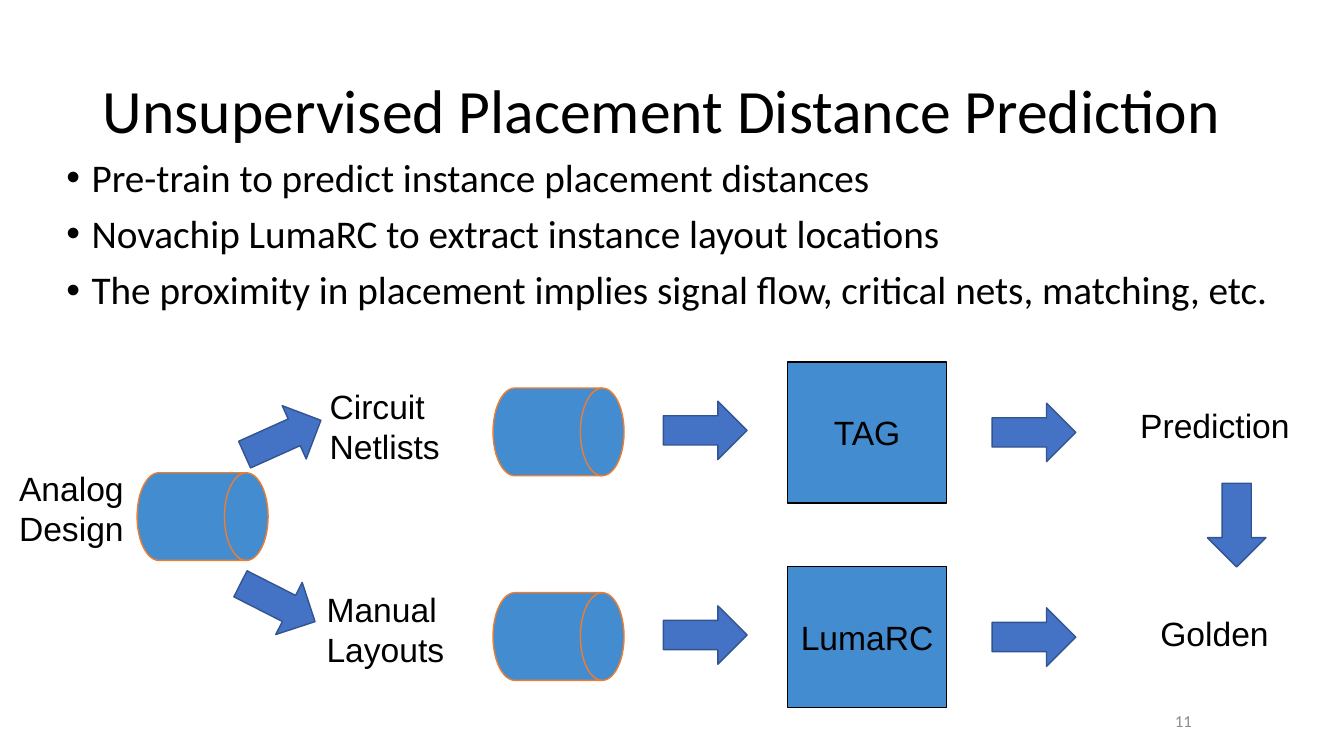
from lxml.etree import SubElement
from pptx import Presentation
from pptx.dml.color import RGBColor
from pptx.enum.shapes import MSO_SHAPE
from pptx.enum.text import MSO_ANCHOR, MSO_AUTO_SIZE, PP_ALIGN
from pptx.oxml.ns import qn
from pptx.util import Inches, Pt

COLORS = {"text": "000000", "block": "438CCF", "drum": "ED7D31",
          "arrow": "4472C4", "edge": "325491", "page": "8C8C8C"}


def color(name):
    return RGBColor.from_string(COLORS[name])


def place(shape, left, top, width, height):
    shape.left, shape.top = Inches(left), Inches(top)
    shape.width, shape.height = Inches(width), Inches(height)


def write(frame, *lines, size=24, font="Arial", ink="text", align=PP_ALIGN.LEFT,
          anchor=MSO_ANCHOR.TOP, wrap=True, space=None, gap=0, bullet=False):
    frame.auto_size = MSO_AUTO_SIZE.NONE
    frame.word_wrap = wrap
    frame.vertical_anchor = anchor
    for i, line in enumerate(lines):
        para = frame.paragraphs[0] if i == 0 else frame.add_paragraph()
        para.alignment = align
        if space:
            para.line_spacing = space
        if i and gap:
            para.space_before = Pt(gap)
        if bullet:
            props = para._p.get_or_add_pPr()
            props.set("marL", str(Inches(0.25)))
            props.set("indent", str(-Inches(0.25)))
            SubElement(props, qn("a:buFont")).set("typeface", "Arial")
            SubElement(props, qn("a:buChar")).set("char", "•")
        run = para.add_run()
        run.text = line
        run.font.size = Pt(size)
        run.font.name = font
        run.font.color.rgb = color(ink)


def label(slide, box, *lines, **style):
    shape = slide.shapes.add_textbox(*map(Inches, box))
    write(shape.text_frame, *lines, **style)


def block(slide, kind, box, fill, line):
    shape = slide.shapes.add_shape(kind, *map(Inches, box))
    shape.shadow.inherit = False
    shape.fill.solid()
    shape.fill.fore_color.rgb = color(fill)
    shape.line.color.rgb = color(line)
    shape.line.width = Pt(1)
    return shape


def drum(slide, left, top):
    block(slide, MSO_SHAPE.FLOWCHART_DIRECT_ACCESS_STORAGE,
          (left, top, 1.3, 0.87), "block", "drum")


def arrow(slide, left, top, turn=0):
    shape = block(slide, MSO_SHAPE.RIGHT_ARROW,
                  (left, top, 0.83, 0.58), "arrow", "edge")
    shape.rotation = turn


def tool(slide, top, name):
    shape = block(slide, MSO_SHAPE.RECTANGLE, (7.81, top, 1.58, 1.4), "block", "text")
    write(shape.text_frame, name, align=PP_ALIGN.CENTER, anchor=MSO_ANCHOR.MIDDLE)


def main():
    deck = Presentation()
    deck.slide_width, deck.slide_height = Inches(13.33), Inches(7.5)
    slide = deck.slides.add_slide(deck.slide_layouts[5])

    # Title and bullets
    title = slide.shapes.title
    place(title, 0.92, 0.4, 11.5, 1.45)
    write(title.text_frame, "Unsupervised Placement Distance Prediction",
          size=44, font="Calibri", anchor=MSO_ANCHOR.MIDDLE, space=0.9)
    label(slide, (0.56, 1.52, 12.22, 2.58),
          "Pre-train to predict instance placement distances",
          "Novachip LumaRC to extract instance layout locations",
          "The proximity in placement implies signal flow, critical nets, matching, etc.",
          size=28, font="Calibri", space=0.9, gap=10, bullet=True)

    # Source design and its two branches
    label(slide, (0.09, 4.59, 1.25, 0.91), "Analog", "Design", wrap=False)
    drum(slide, 1.36, 4.69)
    arrow(slide, 2.39, 4.05, 335.8)
    arrow(slide, 2.34, 5.69, 26.9)
    label(slide, (3.17, 3.78, 1.32, 0.91), "Circuit", "Netlists", wrap=False)
    label(slide, (3.14, 5.79, 1.39, 0.91), "Manual", "Layouts", wrap=False)

    # Parallel rows: data, tool, result
    for top, name in ((3.59, "TAG"), (5.62, "LumaRC")):
        drum(slide, 4.89, top + 0.26)
        arrow(slide, 6.58, top + 0.39)
        tool(slide, top, name)
        arrow(slide, 9.84, top + 0.41)

    # Results
    label(slide, (11.21, 3.97, 1.72, 0.5), "Prediction", wrap=False)
    arrow(slide, 11.85, 4.92, 90)
    label(slide, (11.41, 6.03, 1.29, 0.5), "Golden", wrap=False)

    # Page number
    label(slide, (8.92, 6.95, 3, 0.4), "11", size=12, font="Calibri", ink="page",
          align=PP_ALIGN.RIGHT, anchor=MSO_ANCHOR.MIDDLE)

    deck.save("out.pptx")


if __name__ == "__main__":
    main()
